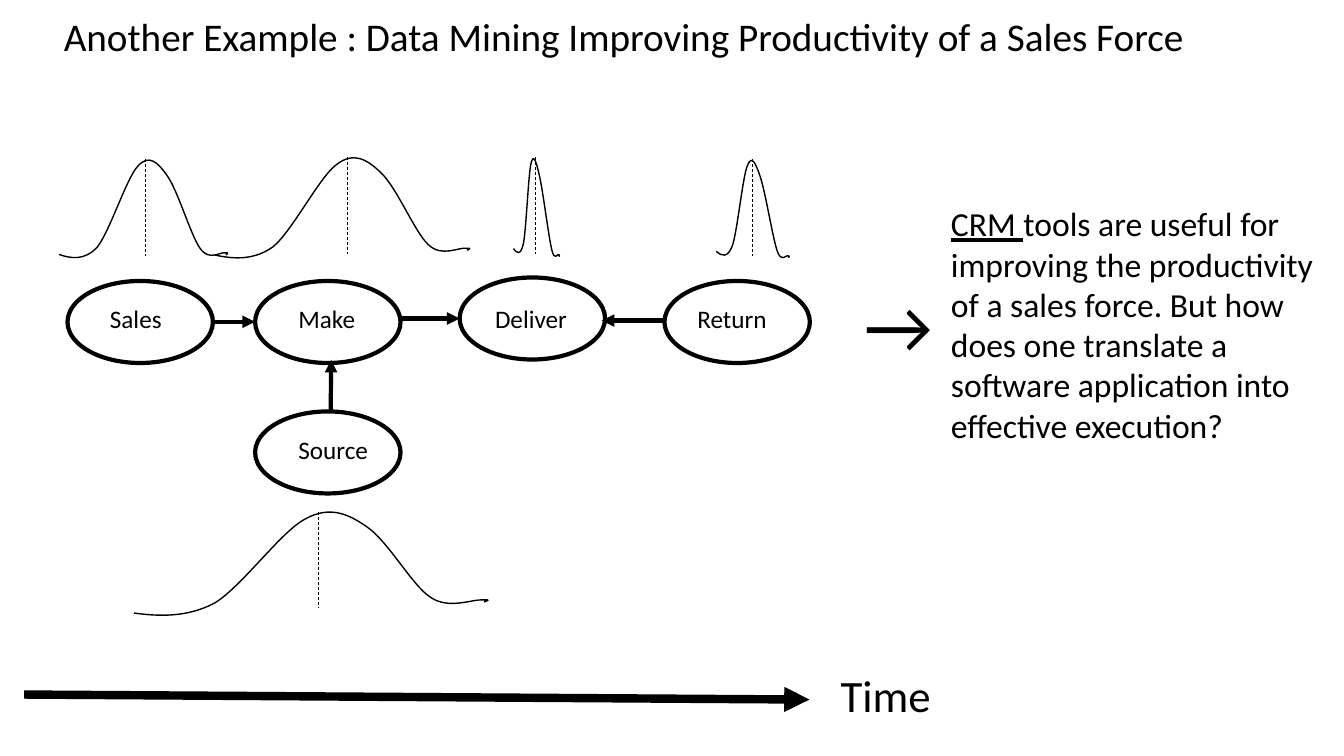
import dataclasses
import typing

import lxml.etree
import pptx
import pptx.dml.color
import pptx.enum.dml
import pptx.enum.shapes
import pptx.enum.text
import pptx.oxml.ns
import pptx.util

Pt = pptx.util.Pt
qn = pptx.oxml.ns.qn
ALIGN = pptx.enum.text.PP_ALIGN
GROW = pptx.enum.text.MSO_AUTO_SIZE.SHAPE_TO_FIT_TEXT
DASH = pptx.enum.dml.MSO_LINE.DASH
COLORS = {"ink": "000000", "page": "FFFFFF"}
FONT = "Calibri"
NODE_W, NODE_H = 103.9, 58.6
BELL_H, BELL_TILT = 70.6, 356.4
BELL = [
    (0, 0.89), (0.07, 0.94), (0.15, 0.97), (0.23, 0.84),
    (0.31, 0.69), (0.43, 0.16), (0.5, 0.05),
    (0.57, -0.07), (0.62, 0.02), (0.67, 0.16),
    (0.73, 0.32), (0.79, 0.79), (0.84, 0.92),
    (0.89, 1.06), (0.96, 0.96), (0.99, 0.98),
    (1.01, 0.98), (1, 0.99), (0.99, 1),
]


@dataclasses.dataclass
class Node:
    name: str
    left: float
    top: float
    text_left: float
    text_top: float


@dataclasses.dataclass
class Bell:
    left: float
    top: float
    width: float


@dataclasses.dataclass
class Line:
    start: tuple[float, float]
    end: tuple[float, float]
    width: float = 3
    head: bool = True
    dash: typing.Any = None


@dataclasses.dataclass
class Label:
    runs: list[tuple[str, bool]]
    box: tuple[float, float, float, float]
    size: float
    align: typing.Any = ALIGN.LEFT
    wrap: bool = True


TITLE = Label(
    [("Another Example : Data Mining Improving Productivity of a Sales Force ", False)],
    (-36.7, 5, 970.6, 41.2), 28, ALIGN.CENTER)
NODES = [
    Node("Sales", 48.2, 200.7, 71.4, 213.1),
    Node("Source", 182.2, 293.9, 206, 306.7),
    Node("Make", 182.2, 200.7, 206, 213.1),
    Node("Deliver", 328.3, 198.2, 346.5, 213.1),
    Node("Return", 474.6, 200.7, 491, 213.1),
]
BELLS = [
    Bell(40.3, 115.2, 120.2),
    Bell(151.9, 113.8, 181.4),
    Bell(365, 113.8, 32.4),
    Bell(509.8, 115.2, 51.8),
    Bell(93.6, 367.2, 252.7),
]
LINKS = [
    Line((151.9, 229.9), (182.2, 229.9)),
    Line((285.8, 227.5), (328.3, 227.5)),
    Line((236.2, 293.8), (236.6, 257)),
    Line((474.5, 229), (429.8, 229)),
]
NOTES = [
    Label([("→", False)], (608.4, 195.1, 67.7, 72.7), 54, ALIGN.CENTER, False),
    Label([("CRM ", True),
           ("tools are useful for improving the productivity of a sales force. "
            "But how does one translate a software application into effective execution?", False)],
          (672.2, 141.5, 283.7, 181.4), 24),
]
AXIS = Line((17.3, 496.1), (578.2, 499.7), width=6)
TIME = Label([("Time", False)], (593.3, 473.2, 82.8, 46.1), 32)


def set_all(item: typing.Any, values: dict[str, typing.Any]) -> None:
    for key, value in values.items():
        setattr(item, key, value)


def tint(name: str) -> pptx.dml.color.RGBColor:
    return pptx.dml.color.RGBColor.from_string(COLORS[name])


def set_line(line: typing.Any, width: float, dash: typing.Any = None) -> None:
    line.fill.solid()
    line.fill.fore_color.rgb = tint("ink")
    set_all(line, {"width": Pt(width), "dash_style": dash})


def draw_label(shapes: typing.Any, label: Label) -> None:
    frame = shapes.add_textbox(*map(Pt, label.box)).text_frame
    set_all(frame, {"word_wrap": label.wrap, "auto_size": GROW})
    para = frame.paragraphs[0]
    para.alignment = label.align
    for text, under in label.runs:
        run = para.add_run()
        run.text = text
        set_all(run.font, {"name": FONT, "size": Pt(label.size), "underline": under})
        run.font.color.rgb = tint("ink")


def draw_node(shapes: typing.Any, node: Node) -> None:
    oval = shapes.add_shape(pptx.enum.shapes.MSO_SHAPE.OVAL,
                            *map(Pt, (node.left, node.top, NODE_W, NODE_H)))
    oval.shadow.inherit = False
    oval.fill.background()
    set_line(oval.line, 3)
    box = (node.text_left, node.text_top, 71.3, 28.8)
    draw_label(shapes, Label([(node.name, False)], box, 18))


def draw_line(shapes: typing.Any, line: Line) -> None:
    link = shapes.add_connector(pptx.enum.shapes.MSO_CONNECTOR.STRAIGHT,
                                *map(Pt, line.start + line.end))
    set_line(link.line, line.width, line.dash)
    props = link._element.spPr
    if line.head:
        lxml.etree.SubElement(props.find(qn("a:ln")), qn("a:tailEnd"), type="triangle")
    lxml.etree.SubElement(props, qn("a:effectLst"))


def bend(curve: typing.Any, knots: list[tuple[float, float]]) -> None:
    route = next(curve._element.iter(qn("a:path")))
    for part in list(route):
        route.remove(part)
    spans = [("a:moveTo", knots[:1])]
    spans += [("a:cubicBezTo", knots[i:i + 3]) for i in range(1, len(knots), 3)]
    for tag, spots in spans:
        part = lxml.etree.SubElement(route, qn(tag))
        for x, y in spots:
            lxml.etree.SubElement(part, qn("a:pt"), x=str(round(x * curve.width)),
                                  y=str(round(y * curve.height)))


def draw_bell(shapes: typing.Any, bell: Bell) -> None:
    group = shapes.add_group_shape().shapes
    pen = group.build_freeform(Pt(bell.left), Pt(bell.top))
    pen.add_line_segments([(Pt(bell.left + bell.width), Pt(bell.top + BELL_H))], close=False)
    curve = pen.convert_to_shape()
    bend(curve, BELL)
    curve.rotation = BELL_TILT
    curve.shadow.inherit = False
    curve.fill.background()
    set_line(curve.line, 1)
    mid = bell.left + 0.53 * bell.width
    top = bell.top - 1.4
    draw_line(group, Line((mid, top), (mid, top + 68.8), 0.5, False, DASH))


def main() -> None:
    deck = pptx.Presentation()
    set_all(deck, {"slide_width": Pt(960), "slide_height": Pt(540)})
    slide = deck.slides.add_slide(deck.slide_layouts[6])
    slide.background.fill.solid()
    slide.background.fill.fore_color.rgb = tint("page")
    for draw, items in ((draw_label, [TITLE]), (draw_node, NODES), (draw_line, LINKS),
                        (draw_bell, BELLS), (draw_label, NOTES),
                        (draw_line, [AXIS]), (draw_label, [TIME])):
        for item in items:
            draw(slide.shapes, item)
    deck.save("out.pptx")


if __name__ == "__main__":
    main()
